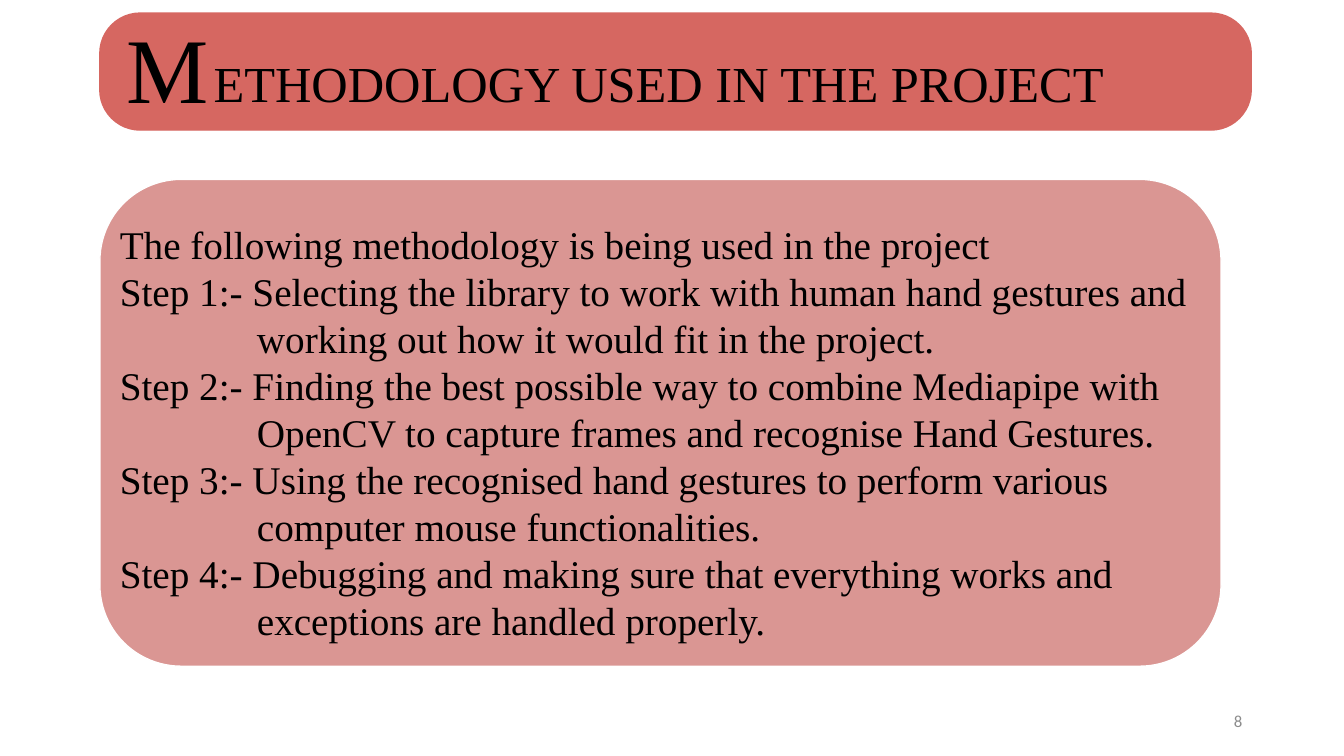
from pptx import Presentation
from pptx.dml.color import RGBColor
from pptx.enum.shapes import MSO_SHAPE
from pptx.enum.text import MSO_ANCHOR, PP_ALIGN
from pptx.util import Inches, Pt

INK = {"title": "D66761", "panel": "DA9693", "edge": "FFFFFF", "text": "000000", "page": "8C8C8C"}
SERIF = "Times New Roman"

deck = Presentation()
deck.slide_width, deck.slide_height = Inches(13.33), Inches(7.5)
col, row = deck.slide_width / 100, deck.slide_height / 100
slide = deck.slides.add_slide(deck.slide_layouts[6])


def place(x, y, w, h):
    return [round(n) for n in (x * col, y * row, w * col, h * row)]


def write(box, lines, size, font=SERIF, ink="text", align=PP_ALIGN.LEFT, wrap=True):
    frame = slide.shapes.add_textbox(*place(*box)).text_frame
    frame.word_wrap = wrap
    frame.text = "\n".join(lines)
    for para in frame.paragraphs:
        para.alignment = align
        style = para.runs[0].font
        style.name, style.size = font, Pt(size)
        style.color.rgb = RGBColor.from_string(INK[ink])
    return frame


panels = [
    ((7.43, 1.73, 85.67, 15.47), 0.345, "title", "title"),
    ((7.43, 23.73, 83.42, 64.4), 0.167, "panel", "edge"),
]
for box, curve, fill, edge in panels:
    panel = slide.shapes.add_shape(MSO_SHAPE.ROUNDED_RECTANGLE, *place(*box))
    panel.adjustments[0] = curve
    panel.shadow.inherit = False
    panel.fill.solid()
    panel.fill.fore_color.rgb = RGBColor.from_string(INK[fill])
    panel.line.color.rgb = RGBColor.from_string(INK[edge])
    panel.line.width = Pt(1)

write((8.7, 0.8, 7.5, 16.13), ["M"], 66, align=PP_ALIGN.CENTER)
write((15.15, 6.27, 68.42, 9.47), ["ETHODOLOGY USED IN THE PROJECT"], 36, wrap=False)

steps = [
    "Selecting the library to work with human hand gestures and working out how it would fit in the project.",
    "Finding the best possible way to combine Mediapipe with OpenCV to capture frames and recognise Hand Gestures.",
    "Using the recognised hand gestures to perform various computer mouse functionalities.",
    "Debugging and making sure that everything works and exceptions are handled properly.",
]
lines = ["The following methodology is being used in the project"]
lines += [f"Step {n}:- {step}" for n, step in enumerate(steps, 1)]
body = write((8.18, 28.53, 81.47, 57.87), lines, 28)
hang = round(10.2 * col)
for para in body.paragraphs:
    para.line_spacing = Pt(33.6)
for para in body.paragraphs[1:]:
    props = para._p.get_or_add_pPr()
    props.set("marL", str(hang))
    props.set("indent", str(-hang))

page = write((70.67, 92.67, 22.5, 5.33), ["8"], 12, "Calibri", "page", PP_ALIGN.RIGHT)
page.vertical_anchor = MSO_ANCHOR.MIDDLE

deck.save("out.pptx")
